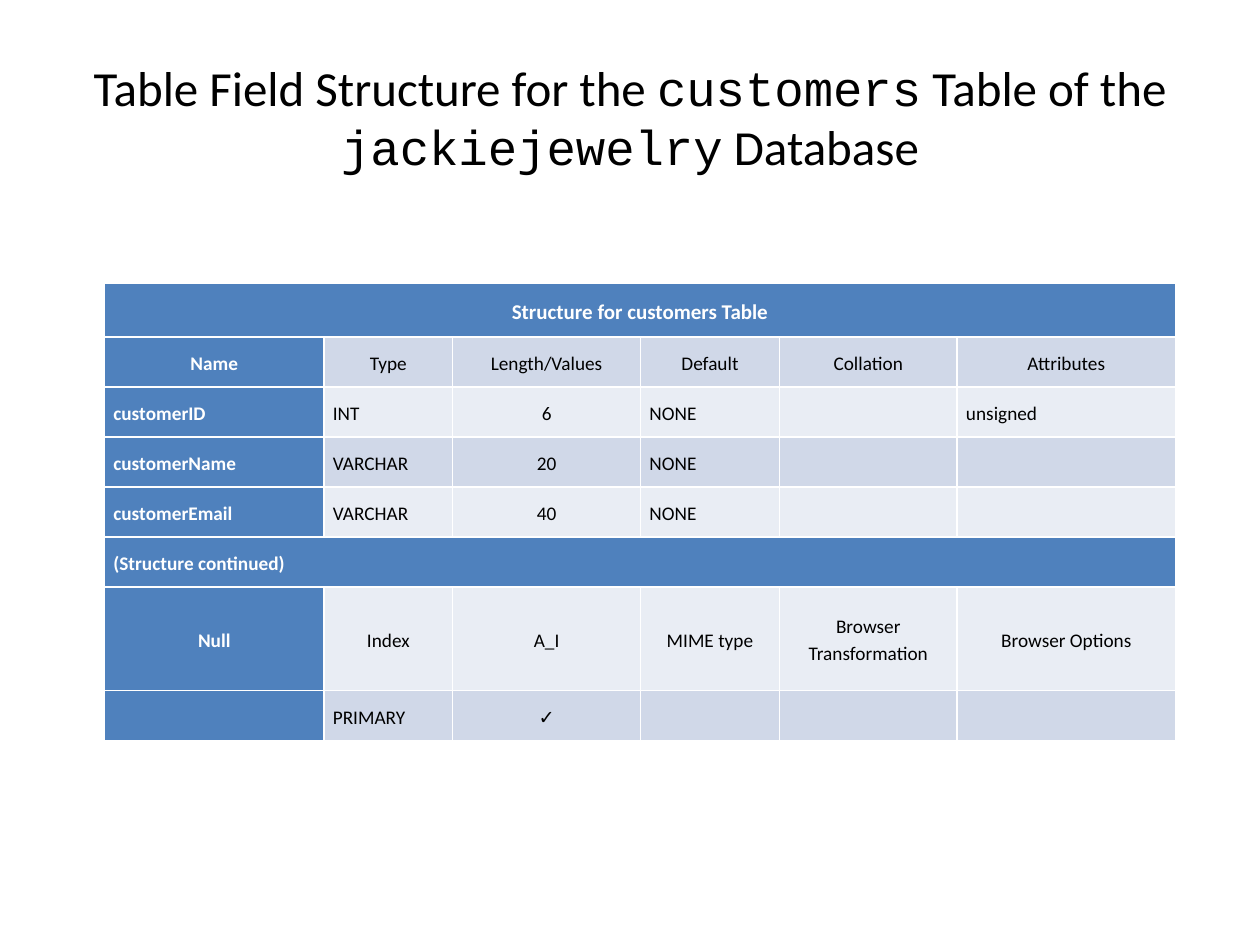
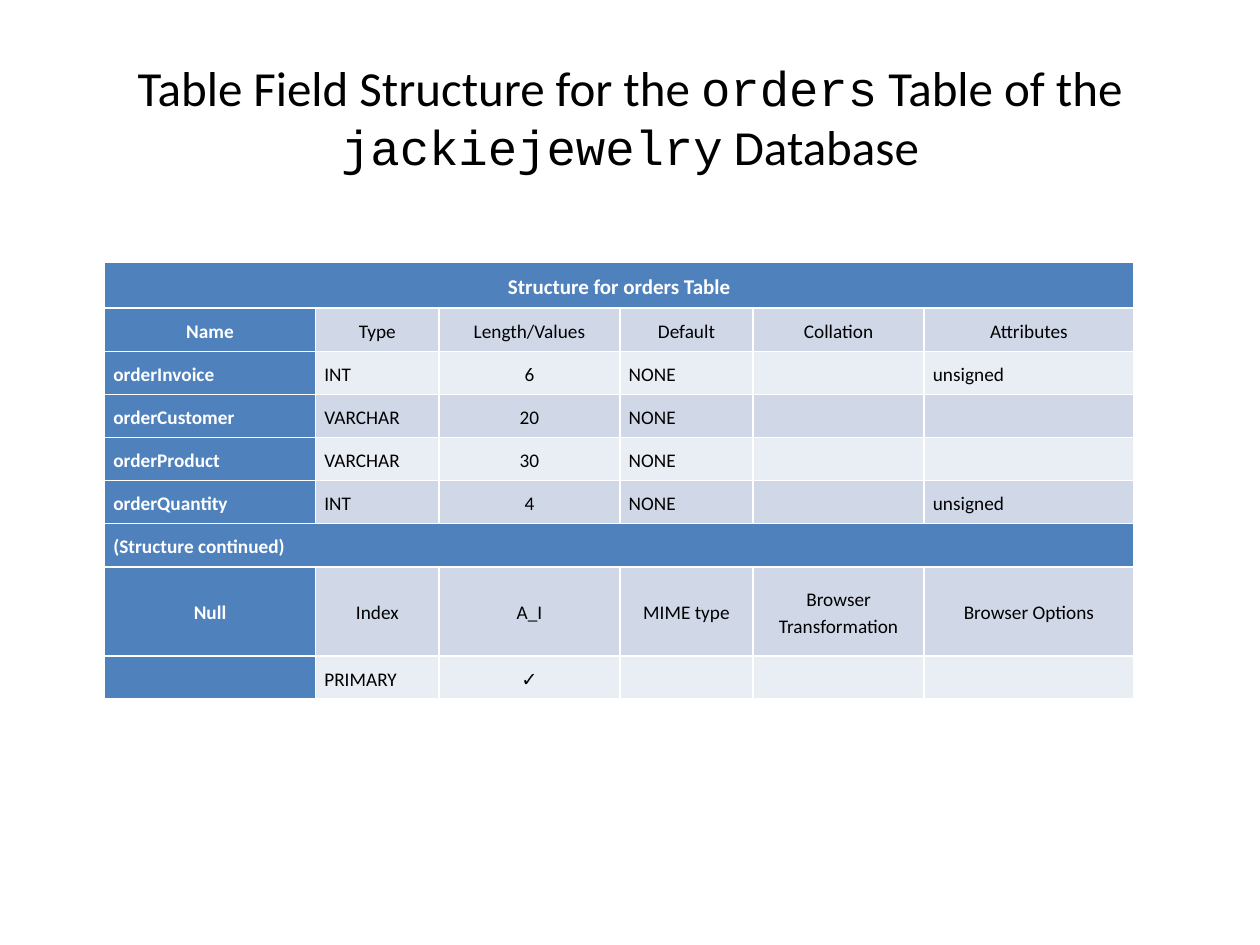
from pptx import Presentation
from pptx.dml.color import RGBColor
from pptx.enum.text import MSO_ANCHOR, PP_ALIGN
from pptx.util import Inches, Pt

BLACK, WHITE, BLUE = "000000", "FFFFFF", "4F81BD"
BANDS = ("E9EDF4", "D0D8E8")  # even rows, odd rows
BODY_FONT, CODE_FONT = "Calibri", "Courier New"

COLUMN_WEIGHTS = (1.74, 1.02, 1.49, 1.1, 1.41, 1.73)
TITLE_WEIGHT, TALL_WEIGHT = 1.07, 2.07  # row heights against a plain row
CENTRED_COLUMN = 2

FIELD_HEADS = ("Name", "Type", "Length/Values", "Default", "Collation", "Attributes")
MORE_HEADS = ("Null", "Index", "A_I", "MIME type", "Browser Transformation", "Browser Options")
KEY_ROW = ("", "PRIMARY", "✓", "", "", "")

CUSTOMER_FIELDS = [
    ("customerID", "INT", "6", "NONE", "", "unsigned"),
    ("customerName", "VARCHAR", "20", "NONE", "", ""),
    ("customerEmail", "VARCHAR", "40", "NONE", "", ""),
]
ORDER_FIELDS = [
    ("orderInvoice", "INT", "6", "NONE", "", "unsigned"),
    ("orderCustomer", "VARCHAR", "20", "NONE", "", ""),
    ("orderProduct", "VARCHAR", "30", "NONE", "", ""),
    ("orderQuantity", "INT", "4", "NONE", "", "unsigned"),
]


def rgb(value):
    return RGBColor.from_string(value)


def add_title(s, table_name):
    tf = s.shapes.add_textbox(Inches(0.5), Inches(0.3), Inches(9), Inches(1.25)).text_frame
    tf.word_wrap = True
    tf.vertical_anchor = MSO_ANCHOR.MIDDLE
    p = tf.paragraphs[0]
    p.alignment = PP_ALIGN.CENTER
    for text, font in (
        ("Table Field Structure for the ", BODY_FONT),
        (table_name, CODE_FONT),
        (" Table of the ", BODY_FONT),
        ("jackiejewelry", CODE_FONT),
        (" Database", BODY_FONT),
    ):
        r = p.add_run()
        r.text = text
        r.font.name = font
        r.font.size = Pt(28)
        r.font.color.rgb = rgb(BLACK)


def fill_cell(cell, text, fill, heading, centred, size):
    """Style one cell; a heading is bold white, the rest plain black."""
    cell.fill.solid()
    cell.fill.fore_color.rgb = rgb(fill)
    cell.vertical_anchor = MSO_ANCHOR.MIDDLE
    cell.margin_left = cell.margin_right = Inches(0.07)
    cell.margin_top = cell.margin_bottom = 0
    if not text:
        return
    p = cell.text_frame.paragraphs[0]
    p.text = text
    p.alignment = PP_ALIGN.CENTER if centred else PP_ALIGN.LEFT
    p.line_spacing = 1.15
    p.space_before = p.space_after = Pt(3)
    p.font.name = BODY_FONT
    p.font.size = Pt(size)
    p.font.bold = heading
    p.font.color.rgb = rgb(WHITE if heading else BLACK)


def add_structure_table(s, table_name, fields, left, top, width, height):
    title_row = (f"Structure for {table_name} Table",)
    rows = [title_row, FIELD_HEADS, *fields, ("(Structure continued)",), MORE_HEADS, KEY_ROW]
    weights = [TITLE_WEIGHT if row is title_row else TALL_WEIGHT if row is MORE_HEADS else 1
               for row in rows]
    table = s.shapes.add_table(len(rows), len(COLUMN_WEIGHTS), Inches(left), Inches(top),
                               Inches(width), Inches(height)).table
    table.first_col = True
    for column, weight in zip(table.columns, COLUMN_WEIGHTS):
        column.width = Inches(width * weight / sum(COLUMN_WEIGHTS))
    for i, (row, weight) in enumerate(zip(rows, weights)):
        table.rows[i].height = Inches(height * weight / sum(weights))
        if len(row) == 1:
            table.cell(i, 0).merge(table.cell(i, len(COLUMN_WEIGHTS) - 1))
        centred_row = row in (title_row, FIELD_HEADS, MORE_HEADS)
        for j, text in enumerate(row):
            heading = j == 0
            fill_cell(table.cell(i, j), text, BLUE if heading else BANDS[i % 2], heading,
                      centred_row or j == CENTRED_COLUMN, 12 if row is title_row else 11)


def add_structure_slide(prs, table_name, fields, box):
    s = prs.slides.add_slide(prs.slide_layouts[6])
    add_title(s, table_name)
    add_structure_table(s, table_name, fields, *box)


def main():
    prs = Presentation()
    prs.slide_width, prs.slide_height = Inches(10), Inches(7.5)
    add_structure_slide(prs, "customers", CUSTOMER_FIELDS, (0.83, 2.25, 8.5, 3.63))
    add_structure_slide(prs, "orders", ORDER_FIELDS, (0.83, 2.08, 8.17, 3.47))
    prs.save("out.pptx")


if __name__ == "__main__":
    main()
